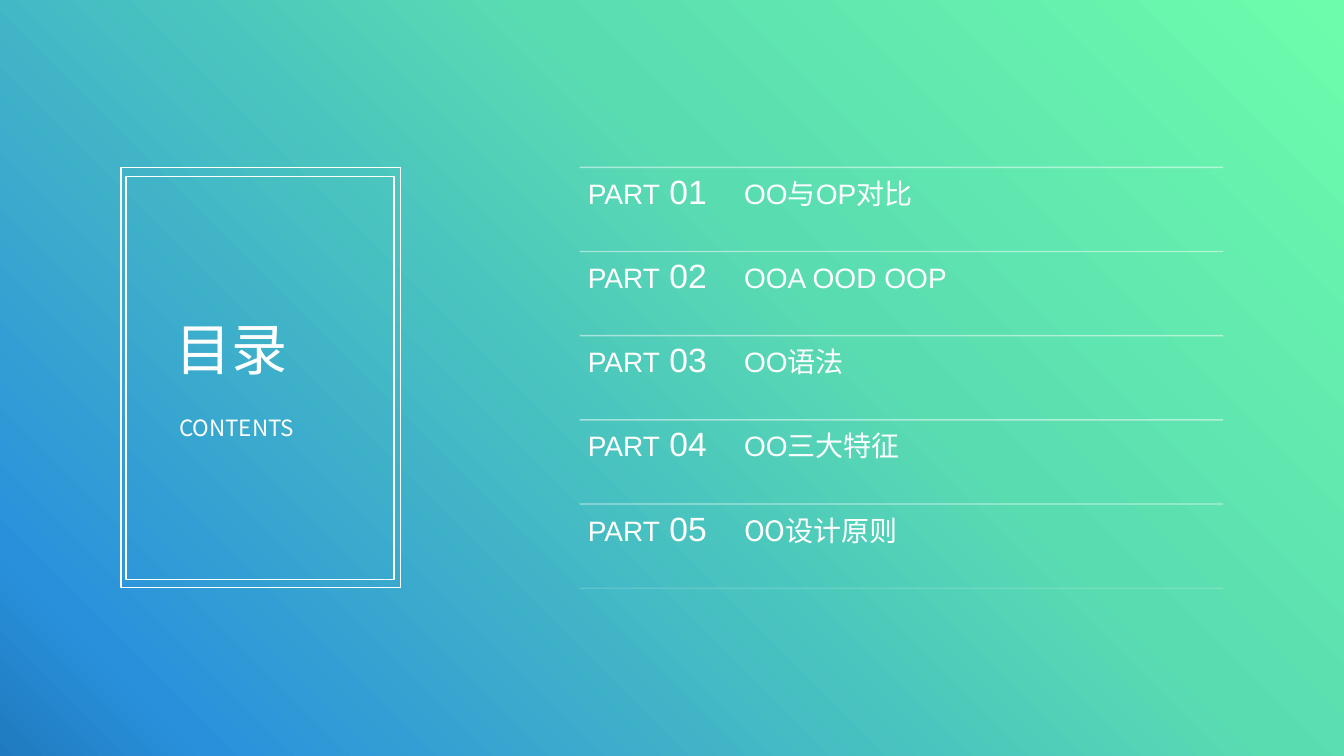
from lxml import etree
from pptx import Presentation
from pptx.dml.color import RGBColor
from pptx.enum.shapes import MSO_CONNECTOR, MSO_SHAPE
from pptx.enum.text import MSO_AUTO_SIZE, PP_ALIGN
from pptx.oxml.ns import qn
from pptx.util import Inches, Pt

STRAIGHT = MSO_CONNECTOR.STRAIGHT
RECTANGLE = MSO_SHAPE.RECTANGLE
FIT_SHAPE = MSO_AUTO_SIZE.SHAPE_TO_FIT_TEXT
JUSTIFY = PP_ALIGN.JUSTIFY
WHITE = "FFFFFF"
LATIN_FONT = "Arial"
CHINESE_FONT = "Noto Sans CJK SC"
GRADIENT = [(0, "207ABE"), (10, "2991DC"), (61, "5ADCB1"), (100, "6DFCAC")]
PARTS = [
    ("OO与OP对比", LATIN_FONT),
    ("OOA OOD OOP", LATIN_FONT),
    ("OO语法", LATIN_FONT),
    ("OO三大特征", LATIN_FONT),
    ("OO设计原则", CHINESE_FONT),
]
LIST_LEFT, LIST_TOP, LIST_WIDTH = 5.75, 1.66, 6.38
ROW_STEP, ROW_HEIGHT = 0.835, 0.83
ROW_INSET, TITLE_TAB = 0.08, 1.55


def color(hex_string):
    """Turn a hex string into a colour."""
    return RGBColor.from_string(hex_string)


def add_background(slide, width, height):
    """Cover the slide with a diagonal gradient."""
    shape = slide.shapes.add_shape(RECTANGLE, 0, 0, width, height)
    shape.shadow.inherit = False
    shape.line.fill.background()
    shape.fill.gradient()
    shape.fill.gradient_angle = 45
    stops = next(shape._element.iter(qn("a:gsLst")))
    for stop in list(stops):
        stops.remove(stop)
    for percent, hex_string in GRADIENT:
        stop = etree.SubElement(stops, qn("a:gs"), pos=str(percent * 1000))
        etree.SubElement(stop, qn("a:srgbClr"), val=hex_string)


def add_frame(slide, left, top, width, height):
    """Add an unfilled rectangle with a white outline."""
    shape = slide.shapes.add_shape(
        RECTANGLE, Inches(left), Inches(top), Inches(width), Inches(height))
    shape.shadow.inherit = False
    shape.fill.background()
    shape.line.color.rgb = color(WHITE)
    shape.line.width = Pt(1)


def add_divider(slide, top, weight):
    """Add a half-transparent horizontal line across the list."""
    line = slide.shapes.add_connector(
        STRAIGHT, Inches(LIST_LEFT), Inches(top),
        Inches(LIST_LEFT + LIST_WIDTH), Inches(top))
    line.line.color.rgb = color(WHITE)
    line.line.width = Pt(weight)
    properties = line._element.spPr
    etree.SubElement(
        next(properties.iter(qn("a:srgbClr"))), qn("a:alpha"), val="50000")
    etree.SubElement(properties, qn("a:effectLst"))


def add_text_box(slide, left, top, width, height):
    """Add a wrapping text box and return its text frame."""
    box = slide.shapes.add_textbox(
        Inches(left), Inches(top), Inches(width), Inches(height))
    box.text_frame.word_wrap = True
    return box.text_frame


def style_font(font, name, size):
    """Set the typeface, size and white colour."""
    font.name = name
    font.size = Pt(size)
    font.color.rgb = color(WHITE)


def add_heading(slide, text, left, top, width, height, size):
    """Add one justified line of the heading."""
    frame = add_text_box(slide, left, top, width, height)
    frame.auto_size = FIT_SHAPE
    paragraph = frame.paragraphs[0]
    paragraph.text = text
    paragraph.alignment = JUSTIFY
    style_font(paragraph.font, CHINESE_FONT, size)


def add_part(slide, number, title, title_font, top):
    """Add one numbered entry of the list."""
    frame = add_text_box(slide, LIST_LEFT, top, LIST_WIDTH, ROW_HEIGHT)
    frame.margin_left = frame.margin_right = Inches(ROW_INSET)
    frame.margin_top = frame.margin_bottom = Inches(ROW_INSET)
    paragraph = frame.paragraphs[0]
    paragraph.line_spacing = 0.9
    tabs = etree.SubElement(paragraph._p.get_or_add_pPr(), qn("a:tabLst"))
    etree.SubElement(
        tabs, qn("a:tab"), pos=str(Inches(TITLE_TAB)), algn="l")
    style_font(paragraph.font, LATIN_FONT, 20)
    paragraph.add_run().text = "PART"
    number_run = paragraph.add_run()
    number_run.text = f" {number:02d}\t"
    number_run.font.size = Pt(24)
    title_run = paragraph.add_run()
    title_run.text = title
    if title_font != LATIN_FONT:
        title_run.font.name = title_font


def main():
    """Build the contents slide and save it."""
    presentation = Presentation()
    presentation.slide_width = Inches(13.33)
    presentation.slide_height = Inches(7.5)
    slide = presentation.slides.add_slide(presentation.slide_layouts[6])
    add_background(slide, presentation.slide_width, presentation.slide_height)
    for index, (title, title_font) in enumerate(PARTS):
        top = LIST_TOP + index * ROW_STEP
        add_divider(slide, top, 1)
        add_part(slide, index + 1, title, title_font, top)
    add_frame(slide, 1.2, 1.66, 2.77, 4.17)
    add_frame(slide, 1.25, 1.75, 2.66, 4)
    add_heading(slide, "目录", 1.64, 3.07, 1.89, 0.77, 40)
    add_heading(slide, "CONTENTS", 1.68, 4.06, 1.82, 0.37, 16)
    add_divider(slide, LIST_TOP + len(PARTS) * ROW_STEP, 0.5)
    presentation.save("out.pptx")


if __name__ == "__main__":
    main()
